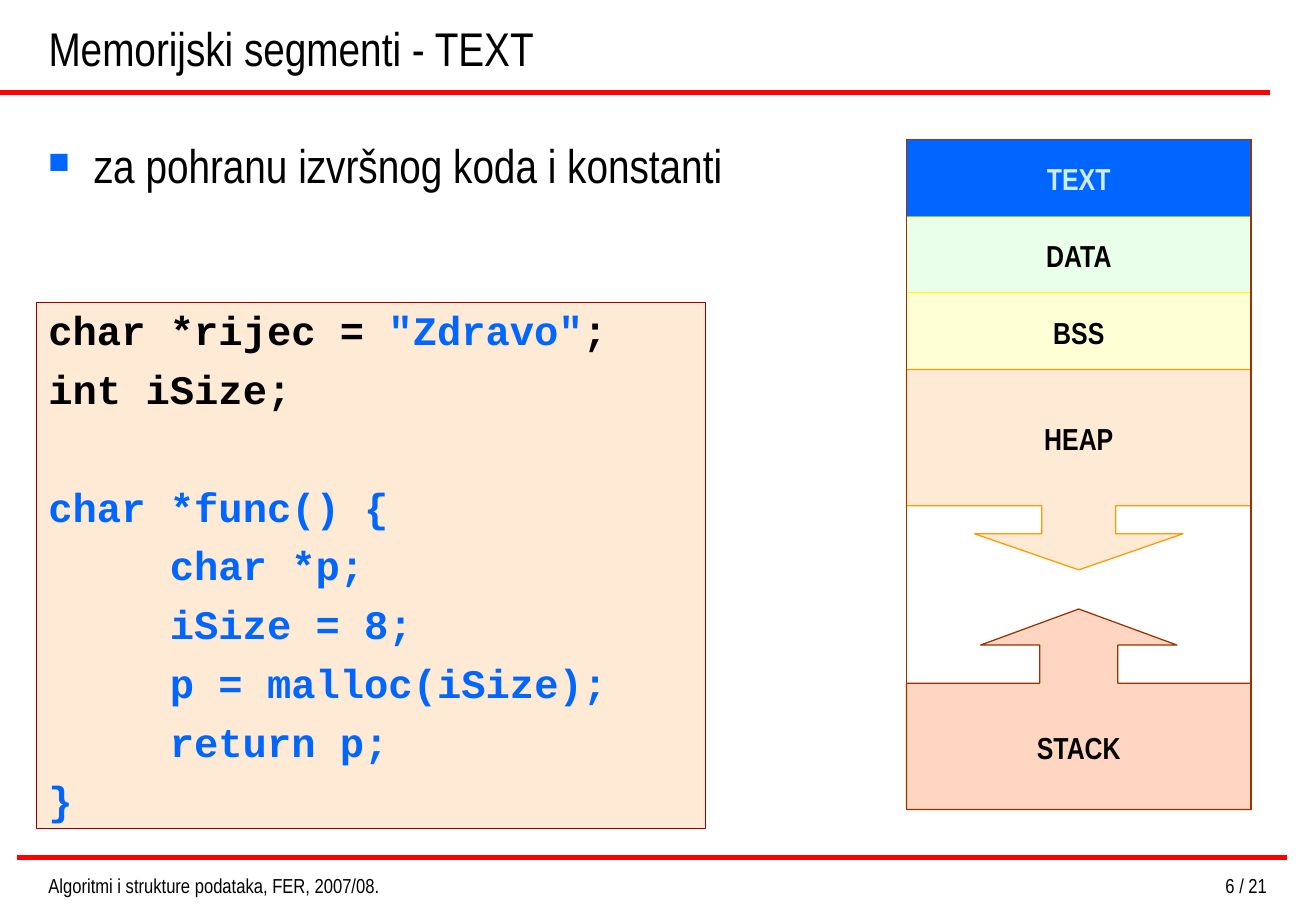
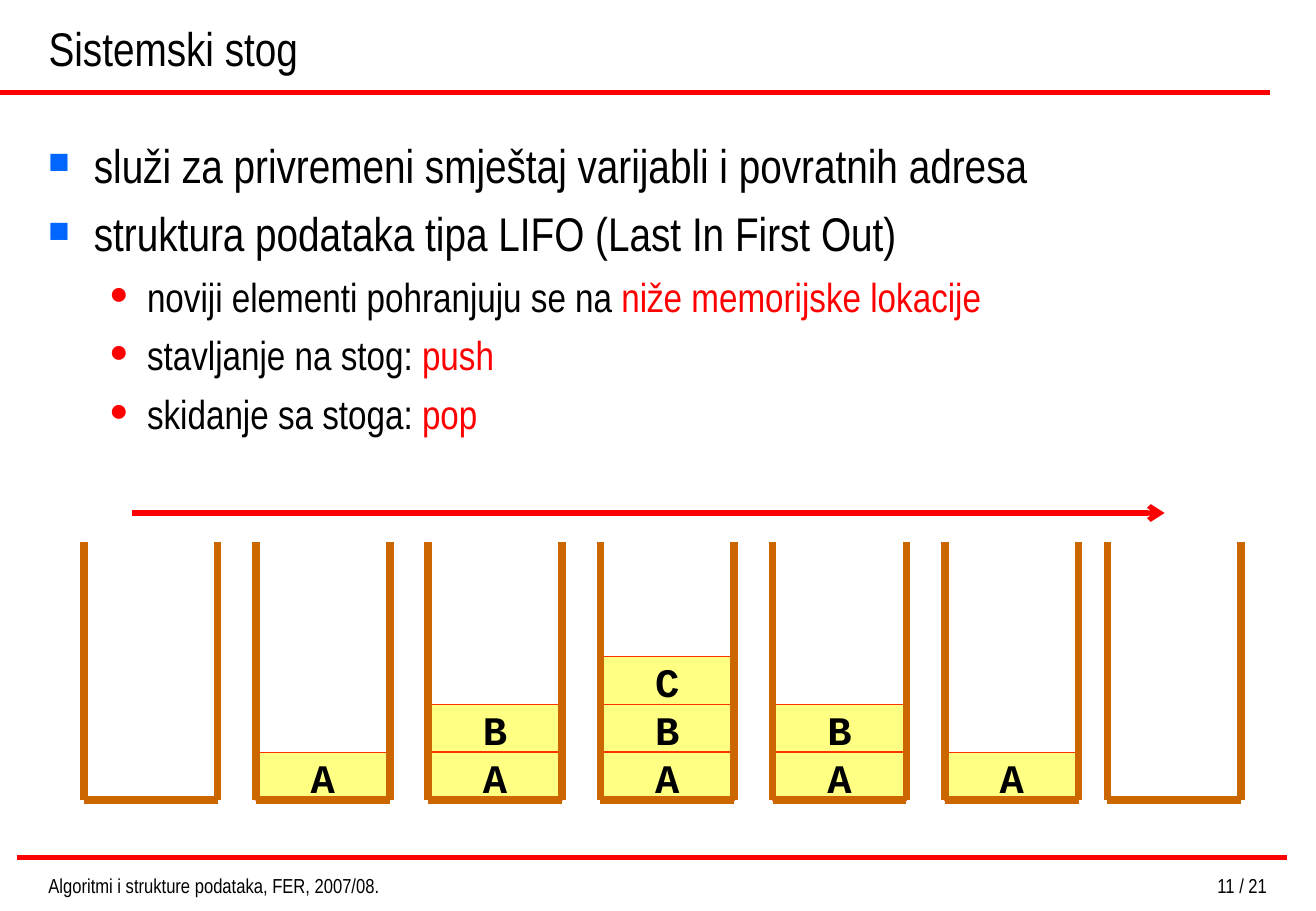
from dataclasses import dataclass
from typing import Any, Optional

from lxml.etree import SubElement
from pptx import Presentation
from pptx.dml.color import RGBColor
from pptx.enum.shapes import MSO_CONNECTOR, MSO_SHAPE
from pptx.enum.text import MSO_ANCHOR, MSO_AUTO_SIZE, PP_ALIGN
from pptx.oxml.ns import qn
from pptx.util import Pt

BLACK = RGBColor(0x00, 0x00, 0x00)
RED = RGBColor(0xFF, 0x00, 0x00)
BLUE = RGBColor(0x00, 0x66, 0xFF)
PALE_BLUE = RGBColor(0xCC, 0xEC, 0xFF)
MINT = RGBColor(0xCC, 0xFF, 0xCC)
LIME = RGBColor(0x99, 0xCC, 0x00)
CREAM = RGBColor(0xFF, 0xFF, 0x99)
YELLOW = RGBColor(0xFF, 0xFF, 0x00)
PEACH = RGBColor(0xFF, 0xCC, 0x99)
ORANGE = RGBColor(0xFF, 0x99, 0x00)
SALMON = RGBColor(0xFF, 0x99, 0x66)
BROWN = RGBColor(0x99, 0x33, 0x00)
MAROON = RGBColor(0x99, 0x00, 0x00)
LEMON = RGBColor(0xFF, 0xFF, 0x66)
VERMILION = RGBColor(0xFF, 0x33, 0x00)
COPPER = RGBColor(0xCC, 0x66, 0x00)

NARROW = "Arial Narrow"
MONO = "Courier New"
LEFT = 21.6
COURSE = "Algoritmi i strukture podataka, FER, 2007/08."
SLIDE_COUNT = 21

Runs = list[tuple[str, RGBColor]]


@dataclass(frozen=True)
class TextStyle:
    font: str
    size: float
    bold: bool = False


@dataclass(frozen=True)
class Bullet:
    symbol: str
    color: RGBColor
    percent: int
    indent: float
    hanging: float
    space: float
    style: TextStyle


@dataclass(frozen=True)
class Segment:
    label: str
    top: float
    height: float
    fill: RGBColor
    line: RGBColor
    opacity: int = 40
    text: RGBColor = BLACK
    outline: MSO_SHAPE = MSO_SHAPE.RECTANGLE
    adjustments: tuple[float, ...] = ()


@dataclass(frozen=True)
class Stack:
    left: float
    items: str


HEADING = TextStyle(NARROW, 28)
FOOTER = TextStyle(NARROW, 12)
LABEL = TextStyle(NARROW, 18, True)
CODE = TextStyle(MONO, 24, True)
MAIN = Bullet("■", BLUE, 75, 27, -27, 7, HEADING)
DETAIL = Bullet("●", RED, 80, 58.5, -22.5, 6, TextStyle(NARROW, 24))

MAP_LEFT, MAP_TOP, MAP_WIDTH, MAP_HEIGHT = 537.4, 82.8, 204.4, 397
SEGMENT_HEIGHT = 45.4
CALLOUT_HEIGHT = 118.8
SEGMENTS = [
    Segment("TEXT", MAP_TOP, SEGMENT_HEIGHT, BLUE, BLUE, 100, PALE_BLUE),
    Segment("DATA", MAP_TOP + SEGMENT_HEIGHT, SEGMENT_HEIGHT, MINT, LIME),
    Segment("BSS", MAP_TOP + 2 * SEGMENT_HEIGHT, SEGMENT_HEIGHT, CREAM, YELLOW),
    Segment("HEAP", MAP_TOP + 3 * SEGMENT_HEIGHT, CALLOUT_HEIGHT, PEACH, ORANGE,
            outline=MSO_SHAPE.DOWN_ARROW_CALLOUT, adjustments=(0.37, 0.52, 0.18, 0.68)),
    Segment("STACK", MAP_TOP + MAP_HEIGHT - CALLOUT_HEIGHT, CALLOUT_HEIGHT, SALMON, BROWN,
            outline=MSO_SHAPE.UP_ARROW_CALLOUT, adjustments=(0.39, 0.49, 0.18, 0.63)),
]

CODE_SPACE = 6
CODE_GAP = 40.8
CODE_TAB = 72
CODE_LINES: list[tuple[float, Runs]] = [
    (0, [("char *rijec = ", BLACK), ('"Zdravo"', BLUE), (";", BLACK)]),
    (CODE_SPACE, [("int iSize;", BLACK)]),
    (CODE_GAP, [("char *func() {", BLUE)]),
    (CODE_SPACE, [("\tchar *p;", BLUE)]),
    (CODE_SPACE, [("\tiSize = 8;", BLUE)]),
    (CODE_SPACE, [("\tp = malloc(iSize);", BLUE)]),
    (CODE_SPACE, [("\treturn p;", BLUE)]),
    (CODE_SPACE, [("}", BLUE)]),
]

STACK_TOP, STACK_BOTTOM, STACK_WIDTH, ITEM_HEIGHT = 321.4, 474.2, 79.3, 28.35
STACK_PITCH = 102.1
STACKS = [Stack(49.7 + number * STACK_PITCH, items)
          for number, items in enumerate(["", "A", "AB", "ABC", "AB", "A"])]
STACKS.append(Stack(656.6, ""))


def apply(target: Any, values: dict[str, Any]) -> None:
    for name, value in values.items():
        setattr(target, name, value)


def write(paragraph: Any, runs: Runs, style: TextStyle) -> None:
    for text, color in runs:
        run = paragraph.add_run()
        run.text = text
        apply(run.font, {"name": style.font, "size": Pt(style.size), "bold": style.bold})
        run.font.color.rgb = color


def format_frame(frame: Any, anchor: MSO_ANCHOR, wrap: bool = True, top: float = 3.6) -> None:
    apply(frame, {
        "auto_size": MSO_AUTO_SIZE.NONE, "word_wrap": wrap, "vertical_anchor": anchor,
        "margin_left": Pt(7.2), "margin_right": Pt(7.2),
        "margin_top": Pt(top), "margin_bottom": Pt(3.6),
    })


def draw_line(shapes: Any, start: tuple[float, float], end: tuple[float, float],
              color: RGBColor, width: float, arrow: bool = False) -> None:
    connector = shapes.add_connector(
        MSO_CONNECTOR.STRAIGHT, *(Pt(value) for value in (*start, *end)))
    connector.line.color.rgb = color
    connector.line.width = Pt(width)
    properties = connector.line._get_or_add_ln()
    if arrow:
        SubElement(properties, qn("a:tailEnd"), type="arrow")
    SubElement(properties.getparent(), qn("a:effectLst"))


def draw_block(slide: Any, outline: MSO_SHAPE, box: tuple[float, ...],
               fill: Optional[RGBColor], line: RGBColor, opacity: int = 100) -> Any:
    block = slide.shapes.add_shape(outline, *(Pt(value) for value in box))
    block.shadow.inherit = False
    block.line.color.rgb = line
    block.line.width = Pt(0.75)
    if fill is None:
        block.fill.background()
        return block
    block.fill.solid()
    block.fill.fore_color.rgb = fill
    if opacity < 100:
        tint = block.fill._xPr.find(qn("a:solidFill"))[0]
        SubElement(tint, qn("a:alpha"), val=str(opacity * 1000))
    return block


def label_block(block: Any, text: str, color: RGBColor, style: TextStyle) -> None:
    format_frame(block.text_frame, MSO_ANCHOR.MIDDLE, False, 4.5)
    paragraph = block.text_frame.paragraphs[0]
    paragraph.alignment = PP_ALIGN.CENTER
    write(paragraph, [(text, color)], style)


def add_text(slide: Any, box: tuple[float, ...]) -> Any:
    frame = slide.shapes.add_textbox(*(Pt(value) for value in box)).text_frame
    format_frame(frame, MSO_ANCHOR.TOP)
    return frame


def start_slide(deck: Any, heading: str, number: int) -> Any:
    slide = deck.slides.add_slide(deck.slide_layouts[5])
    draw_line(slide.shapes, (0, 54.6), (753.1, 54.6), RED, 3)
    draw_line(slide.shapes, (10.1, 508.5), (763.2, 508.5), RED, 3)
    title = slide.shapes.title
    apply(title, {"left": Pt(LEFT), "top": Pt(0), "width": Pt(731.5), "height": Pt(48.6)})
    format_frame(title.text_frame, MSO_ANCHOR.BOTTOM)
    title.text_frame.paragraphs[0].alignment = PP_ALIGN.LEFT
    write(title.text_frame.paragraphs[0], [(heading, BLACK)], HEADING)
    footers = [
        (LEFT, 272.2, COURSE, PP_ALIGN.LEFT),
        (558.9, 199.4, f"{number} / {SLIDE_COUNT}", PP_ALIGN.RIGHT),
    ]
    for left, width, text, alignment in footers:
        paragraph = add_text(slide, (left, 514.4, width, 17.3)).paragraphs[0]
        paragraph.alignment = alignment
        write(paragraph, [(text, BLACK)], FOOTER)
    return slide


def add_bullets(slide: Any, points: list[tuple[Bullet, Runs]]) -> None:
    frame = add_text(slide, (LEFT, 77.2, 737.3, 419.8))
    for index, (bullet, runs) in enumerate(points):
        paragraph = frame.add_paragraph() if index else frame.paragraphs[0]
        properties = paragraph._p.get_or_add_pPr()
        properties.set("marL", str(Pt(bullet.indent)))
        properties.set("indent", str(Pt(bullet.hanging)))
        color = SubElement(properties, qn("a:buClr"))
        SubElement(color, qn("a:srgbClr"), val=str(bullet.color))
        SubElement(properties, qn("a:buSzPct"), val=str(bullet.percent * 1000))
        SubElement(properties, qn("a:buFont"), typeface=NARROW)
        SubElement(properties, qn("a:buChar"), char=bullet.symbol)
        paragraph.space_before = Pt(bullet.space if index else 0)
        write(paragraph, runs, bullet.style)


def draw_memory_map(slide: Any) -> None:
    for segment in SEGMENTS:
        block = draw_block(slide, segment.outline,
                           (MAP_LEFT, segment.top, MAP_WIDTH, segment.height),
                           segment.fill, segment.line, segment.opacity)
        for index, value in enumerate(segment.adjustments):
            block.adjustments[index] = value
        label_block(block, segment.label, segment.text, LABEL)
    draw_block(slide, MSO_SHAPE.RECTANGLE,
               (MAP_LEFT, MAP_TOP, MAP_WIDTH, MAP_HEIGHT), None, BROWN)


def draw_code(slide: Any) -> None:
    listing = draw_block(slide, MSO_SHAPE.RECTANGLE, (LEFT, 179.3, 396.7, 311.8),
                         PEACH, MAROON, 40)
    frame = listing.text_frame
    format_frame(frame, MSO_ANCHOR.TOP, True, 1.8)
    for index, (space, runs) in enumerate(CODE_LINES):
        paragraph = frame.add_paragraph() if index else frame.paragraphs[0]
        tabs = SubElement(paragraph._p.get_or_add_pPr(), qn("a:tabLst"))
        SubElement(tabs, qn("a:tab"), pos=str(Pt(CODE_TAB)), algn="l")
        paragraph.alignment = PP_ALIGN.LEFT
        paragraph.space_before = Pt(space)
        write(paragraph, runs, CODE)


def draw_stack_items(slide: Any, stack: Stack) -> None:
    for level, item in enumerate(stack.items, start=1):
        block = draw_block(slide, MSO_SHAPE.RECTANGLE,
                           (stack.left, STACK_BOTTOM - level * ITEM_HEIGHT,
                            STACK_WIDTH, ITEM_HEIGHT), LEMON, VERMILION, 80)
        label_block(block, item, BLACK, CODE)


def draw_stack_walls(slide: Any, stack: Stack) -> None:
    walls = slide.shapes.add_group_shape().shapes
    right = stack.left + STACK_WIDTH
    for side in (stack.left, right):
        draw_line(walls, (side, STACK_TOP), (side, STACK_BOTTOM), COPPER, 4.5)
    draw_line(walls, (stack.left, STACK_BOTTOM), (right, STACK_BOTTOM), COPPER, 4.5)


def build_text_segment(deck: Any) -> None:
    slide = start_slide(deck, "Memorijski segmenti - TEXT", 6)
    add_bullets(slide, [(MAIN, [("za pohranu izvršnog koda i konstanti", BLACK)])])
    draw_memory_map(slide)
    draw_code(slide)


def build_system_stack(deck: Any) -> None:
    slide = start_slide(deck, "Sistemski stog", 11)
    add_bullets(slide, [
        (MAIN, [("služi za privremeni smještaj varijabli i povratnih adresa", BLACK)]),
        (MAIN, [("struktura podataka tipa LIFO (Last In First Out)", BLACK)]),
        (DETAIL, [("noviji elementi pohranjuju se na ", BLACK),
                  ("niže memorijske lokacije", RED)]),
        (DETAIL, [("stavljanje na stog: ", BLACK), ("push", RED)]),
        (DETAIL, [("skidanje sa stoga: ", BLACK), ("pop", RED)]),
    ])
    for stack in STACKS:
        draw_stack_items(slide, stack)
    draw_line(slide.shapes, (78.5, 304.1), (690.5, 304.1), RED, 3, arrow=True)
    for stack in STACKS:
        draw_stack_walls(slide, stack)


def main() -> None:
    deck = Presentation()
    deck.slide_width = Pt(780.25)
    deck.slide_height = Pt(540)
    build_text_segment(deck)
    build_system_stack(deck)
    deck.save("out.pptx")


if __name__ == "__main__":
    main()
